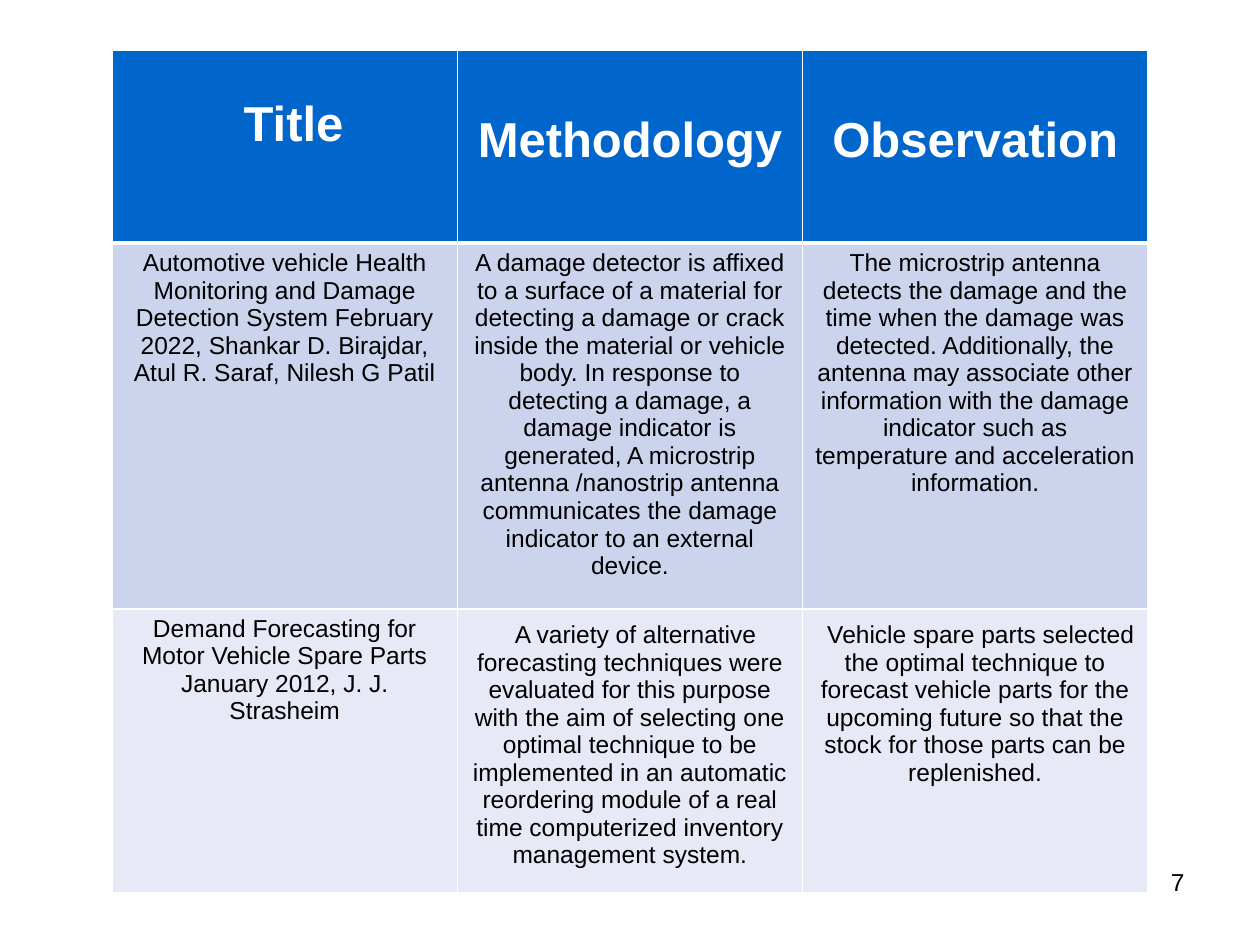
from dataclasses import dataclass

import pptx
import pptx.dml.color
import pptx.enum.text
import pptx.oxml
import pptx.oxml.ns
import pptx.util
from pptx.util import Inches


@dataclass(frozen=True)
class Theme:
    font: str = "Arial"
    header_size: int = 28
    body_size: int = 14
    header_fill: str = "0066CC"
    row_fills: tuple[str, ...] = ("CCD3EC", "E7EAF6")
    light: str = "FFFFFF"
    dark: str = "000000"
    rule: float = 1
    header_rule: float = 3


@dataclass(frozen=True)
class Entry:
    text: str
    top: float = 0.05
    left: float = 0.1
    indent: float = 0


THEME = Theme()
COLUMN_WIDTH = 2.74
ROW_HEIGHTS = (1.53, 2.72, 2.12)

HEADERS = (
    Entry("Title", top=0.37, left=0.24),
    Entry("Methodology", top=0.5),
    Entry("Observation", top=0.5),
)
STUDIES = (
    (
        Entry("Automotive vehicle Health Monitoring and Damage Detection System "
              "February 2022, Shankar D. Birajdar, Atul R. Saraf, Nilesh G Patil"),
        Entry("A damage detector is affixed to a surface of a material for detecting "
              "a damage or crack inside the material or vehicle body. In response to "
              "detecting a damage, a damage indicator is generated, A microstrip "
              "antenna /nanostrip antenna communicates the damage indicator to an "
              "external device."),
        Entry("The microstrip antenna detects the damage and the time when the damage "
              "was detected. Additionally, the antenna may associate other information "
              "with the damage indicator such as temperature and acceleration "
              "information."),
    ),
    (
        Entry("Demand Forecasting for Motor Vehicle Spare Parts January 2012, "
              "J. J. Strasheim"),
        Entry("A variety of alternative forecasting techniques were evaluated for this "
              "purpose with the aim of selecting one optimal technique to be "
              "implemented in an automatic reordering module of a real time "
              "computerized inventory management system.", top=0.1, indent=0.09),
        Entry("Vehicle spare parts selected the optimal technique to forecast vehicle "
              "parts for the upcoming future so that the stock for those parts can be "
              "replenished.", top=0.1, indent=0.09),
    ),
)


def rgb(color: str) -> pptx.dml.color.RGBColor:
    return pptx.dml.color.RGBColor.from_string(color)


def style_text(paragraph, size: int, color: str, align, bold: bool = False) -> None:
    paragraph.alignment = align
    for run in paragraph.runs:
        run.font.name = THEME.font
        run.font.size = pptx.util.Pt(size)
        run.font.bold = bold
        run.font.color.rgb = rgb(color)


def add_borders(cell, top: float, bottom: float) -> None:
    """Rule all four sides; must run before the cell fill is set."""
    properties = cell._tc.get_or_add_tcPr()
    widths = {"lnL": THEME.rule, "lnR": THEME.rule, "lnT": top, "lnB": bottom}
    for side, width in widths.items():
        properties.append(pptx.oxml.parse_xml(
            f'<a:{side} {pptx.oxml.ns.nsdecls("a")} w="{pptx.util.Pt(width)}">'
            f'<a:solidFill><a:srgbClr val="{THEME.light}"/></a:solidFill></a:{side}>'))


def fill_cell(cell, entry: Entry, row: int) -> None:
    is_header = row == 0
    add_borders(cell,
                top=THEME.header_rule if row == 1 else THEME.rule,
                bottom=THEME.header_rule if is_header else THEME.rule)
    cell.fill.solid()
    cell.fill.fore_color.rgb = rgb(
        THEME.header_fill if is_header else THEME.row_fills[row - 1])
    cell.margin_top = Inches(entry.top)
    cell.margin_left = Inches(entry.left)
    paragraph = cell.text_frame.paragraphs[0]
    paragraph.text = entry.text
    if entry.indent:
        paragraph._p.get_or_add_pPr().set("indent", str(Inches(entry.indent)))
    style_text(paragraph,
               THEME.header_size if is_header else THEME.body_size,
               THEME.light if is_header else THEME.dark,
               pptx.enum.text.PP_ALIGN.CENTER, bold=is_header)


def add_survey(slide) -> None:
    entries = (HEADERS, *STUDIES)
    survey = slide.shapes.add_table(
        len(entries), len(HEADERS), Inches(0.89), Inches(0.4),
        Inches(COLUMN_WIDTH * len(HEADERS)), Inches(sum(ROW_HEIGHTS))).table
    for column in survey.columns:
        column.width = Inches(COLUMN_WIDTH)
    for row, (height, row_entries) in enumerate(zip(ROW_HEIGHTS, entries)):
        survey.rows[row].height = Inches(height)
        for column, entry in enumerate(row_entries):
            fill_cell(survey.cell(row, column), entry, row)


def add_page_number(slide, number: int) -> None:
    frame = slide.shapes.add_textbox(
        Inches(7.17), Inches(6.83), Inches(2.33), Inches(0.52)).text_frame
    frame.word_wrap = True
    frame.text = str(number)
    style_text(frame.paragraphs[0], THEME.body_size, THEME.dark,
               pptx.enum.text.PP_ALIGN.RIGHT)


def main() -> None:
    deck = pptx.Presentation()
    deck.slide_width, deck.slide_height = Inches(10), Inches(7.5)
    slide = deck.slides.add_slide(deck.slide_layouts[6])
    add_page_number(slide, 7)
    add_survey(slide)
    deck.save("out.pptx")


if __name__ == "__main__":
    main()
